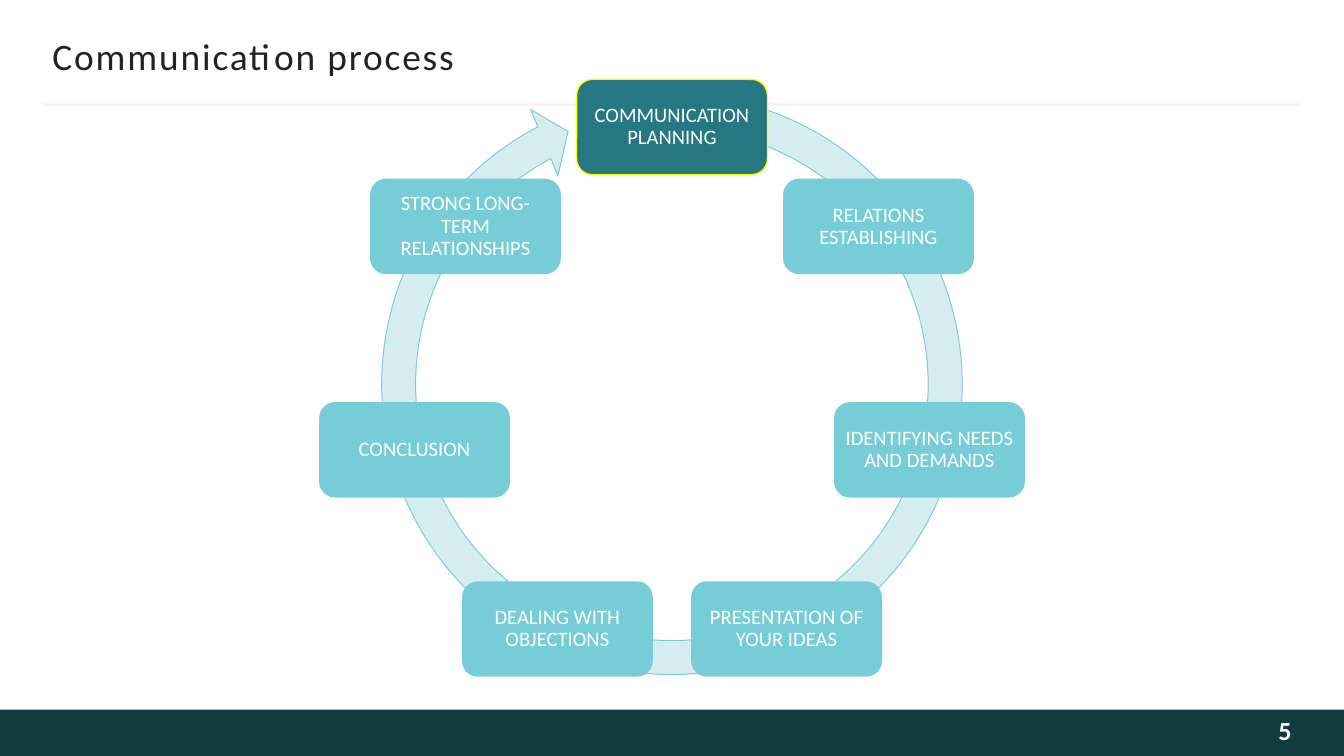
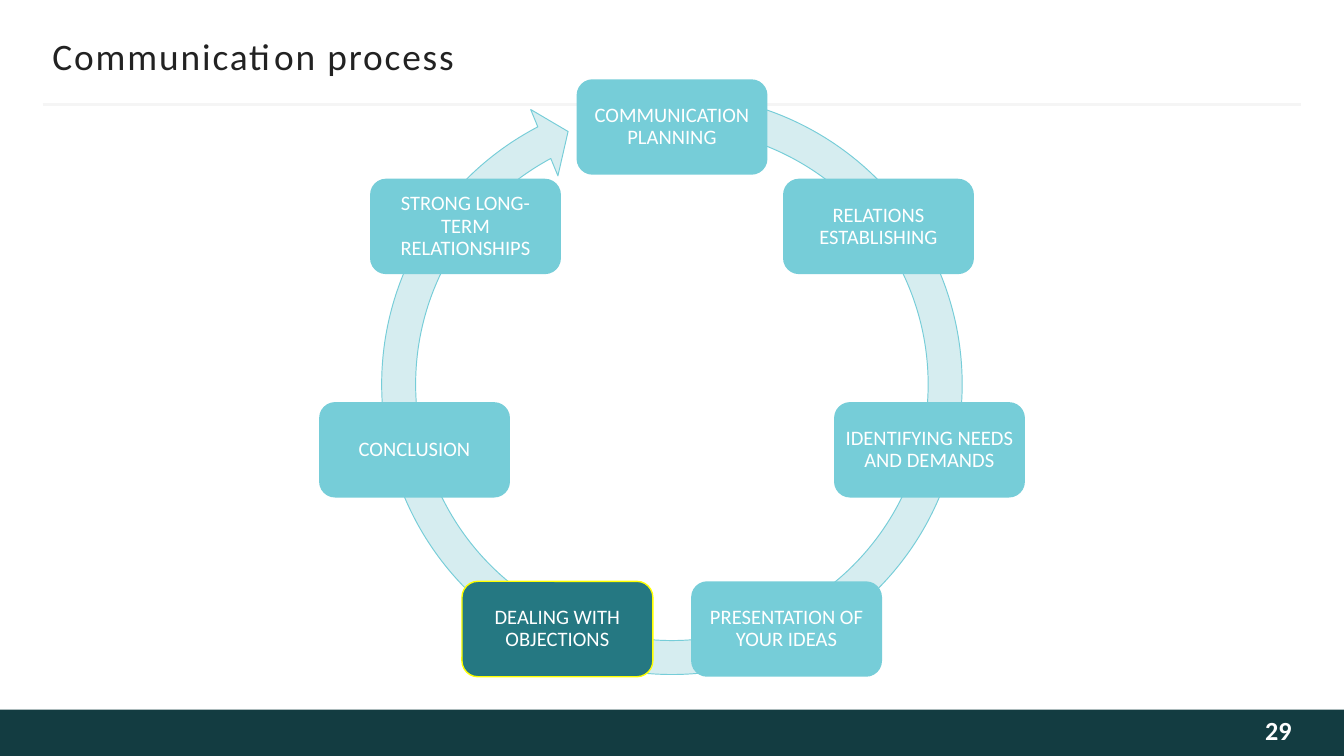
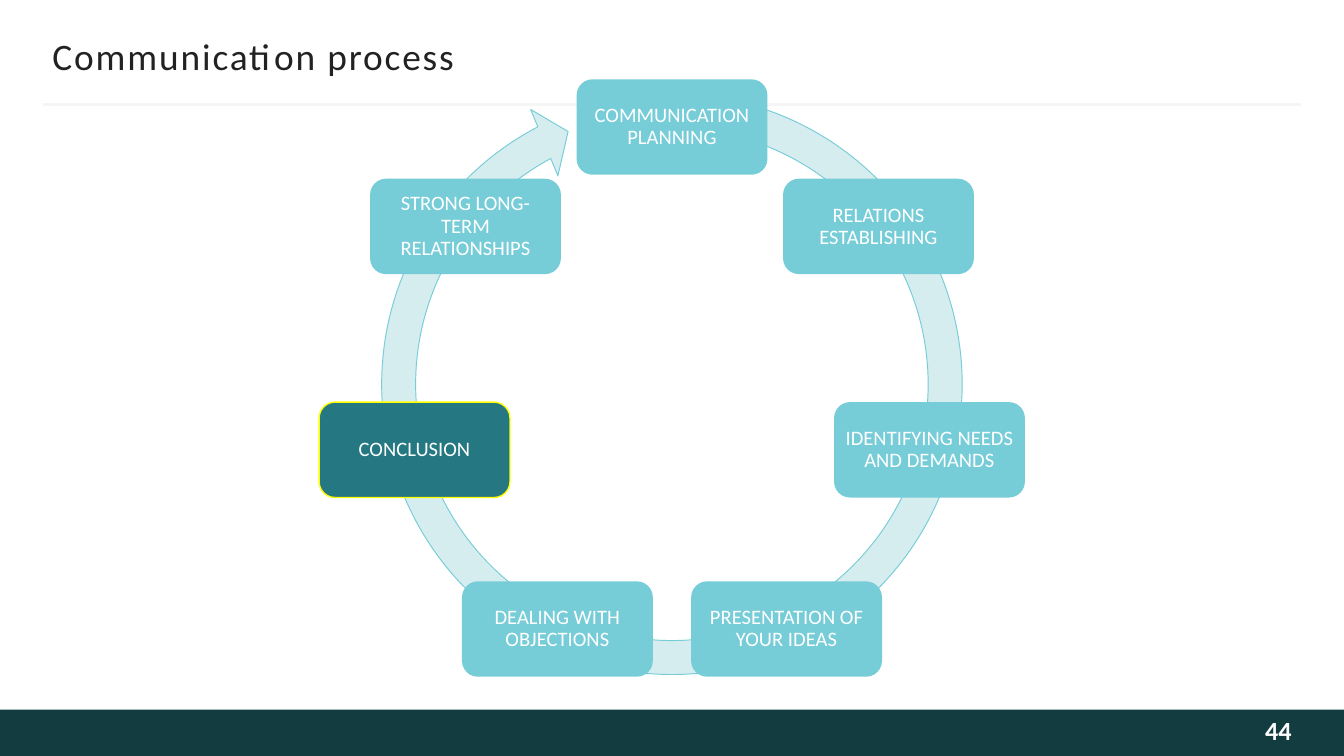
import math

from pptx import Presentation
from pptx import util as u
from pptx.dml.color import RGBColor
from pptx.enum import shapes, text
from pptx.oxml import parse_xml
from pptx.oxml.ns import nsdecls

# Shared style
FONT = "Calibri"
WHITE, TITLE_INK, NUMBER_INK = "FFFFFF", "222222", "FEFEFE"
BAND, RULE = "133C41", "F5F5F5"
RING, STEP, ACTIVE, ACTIVE_EDGE = "D6EDF0", "76CDD8", "257882", "FFFF00"
BAND_TOP, BAND_HEIGHT = 5.28, 0.35

# Geometry of the cycle
CENTER_X, CENTER_Y, RADIUS = 5, 2.91, 1.965
STEP_WIDTH, STEP_HEIGHT = 1.42, 0.71
RING_BOX = (2.7, 0.56, 4.6, 4.6)
RING_THICKNESS, RING_HEAD = 0.055, 0.058
RING_HEAD_ANGLE, RING_END, RING_START = 5.51, 242.16, 282.37
ANGLE_UNIT = 0.6  # one degree as a shape adjustment

TITLE = "Communication process"
STEPS = [
    "COMMUNICATION PLANNING",
    "RELATIONS ESTABLISHING",
    "IDENTIFYING NEEDS AND DEMANDS",
    "PRESENTATION OF YOUR IDEAS",
    "DEALING WITH OBJECTIONS",
    "CONCLUSION",
    "STRONG LONG-TERM RELATIONSHIPS",
]
# Page number and the step it highlights
PAGES = [
    (5, "COMMUNICATION PLANNING"),
    (29, "DEALING WITH OBJECTIONS"),
    (44, "CONCLUSION"),
]


def color(hex_code):
    return RGBColor.from_string(hex_code)


def inches(*lengths):
    return [u.Inches(length) for length in lengths]


def write(box, words, size, ink, margins, align=text.PP_ALIGN.LEFT, bold=False):
    """Fill a shape with one vertically centred paragraph; return its run."""
    frame = box.text_frame
    frame.text = words
    frame.word_wrap = True
    frame.vertical_anchor = text.MSO_ANCHOR.MIDDLE
    (frame.margin_left, frame.margin_top,
     frame.margin_right, frame.margin_bottom) = inches(*margins)
    para = frame.paragraphs[0]
    para.alignment = align
    span = para.runs[0]
    span.font.name = FONT
    span.font.size = u.Pt(size)
    span.font.bold = bold
    span.font.color.rgb = color(ink)
    return span


def add_block(parent, kind, place, fill, edge=None, weight=0.75):
    block = parent.shapes.add_shape(kind, *inches(*place))
    block.shadow.inherit = False
    block.fill.solid()
    block.fill.fore_color.rgb = color(fill)
    if edge:
        block.line.color.rgb = color(edge)
        block.line.width = u.Pt(weight)
    else:
        block.line.fill.background()
    return block


def add_frame(page, number):
    """Footer band, title rule, title and page number."""
    add_block(page, shapes.MSO_SHAPE.RECTANGLE,
              (0, BAND_TOP, 10, BAND_HEIGHT), BAND)

    rule = page.shapes.add_connector(shapes.MSO_CONNECTOR.STRAIGHT,
                                     *inches(0.32, 0.78, 9.68, 0.78))
    rule.line.color.rgb = color(RULE)
    rule.line.width = u.Pt(1.5)
    rule._element.spPr.append(parse_xml(f"<a:effectLst {nsdecls('a')}/>"))

    title = page.shapes.add_textbox(*inches(0.39, 0.25, 9.22, 0.33))
    span = write(title, TITLE, 20, TITLE_INK, (0, 0.05, 0, 0.05))
    span.font._element.set("spc", "100")

    footer = page.shapes.add_textbox(*inches(8.11, BAND_TOP, 1.5, BAND_HEIGHT))
    write(footer, str(number), 14, NUMBER_INK, (0.1, 0.05, 0, 0.09),
          text.PP_ALIGN.RIGHT, bold=True)


def add_ring(cycle):
    ring = add_block(cycle, shapes.MSO_SHAPE.CIRCULAR_ARROW, RING_BOX,
                     RING, STEP, 0.5)
    settings = (RING_THICKNESS, RING_HEAD_ANGLE * ANGLE_UNIT,
                RING_END * ANGLE_UNIT, RING_START * ANGLE_UNIT, RING_HEAD)
    for index, setting in enumerate(settings):
        ring.adjustments[index] = setting


def add_cycle(page, active):
    """Steps spaced evenly clockwise from the top, over a circular arrow."""
    cycle = page.shapes.add_group_shape()
    add_ring(cycle)
    for index, words in enumerate(STEPS):
        angle = 2 * math.pi * index / len(STEPS)
        left = CENTER_X + RADIUS * math.sin(angle) - STEP_WIDTH / 2
        top = CENTER_Y - RADIUS * math.cos(angle) - STEP_HEIGHT / 2
        fill, edge = (ACTIVE, ACTIVE_EDGE) if words == active else (STEP, None)
        step = add_block(cycle, shapes.MSO_SHAPE.ROUNDED_RECTANGLE,
                         (left, top, STEP_WIDTH, STEP_HEIGHT), fill, edge)
        write(step, words, 11, WHITE, [0.05] * 4, text.PP_ALIGN.CENTER)
        step.text_frame.paragraphs[0].line_spacing = 0.9


def main():
    deck = Presentation()
    deck.slide_width, deck.slide_height = inches(10, 5.625)
    blank = deck.slide_layouts[6]
    for number, active in PAGES:
        page = deck.slides.add_slide(blank)
        add_frame(page, number)
        add_cycle(page, active)
    deck.save("out.pptx")


if __name__ == "__main__":
    main()
